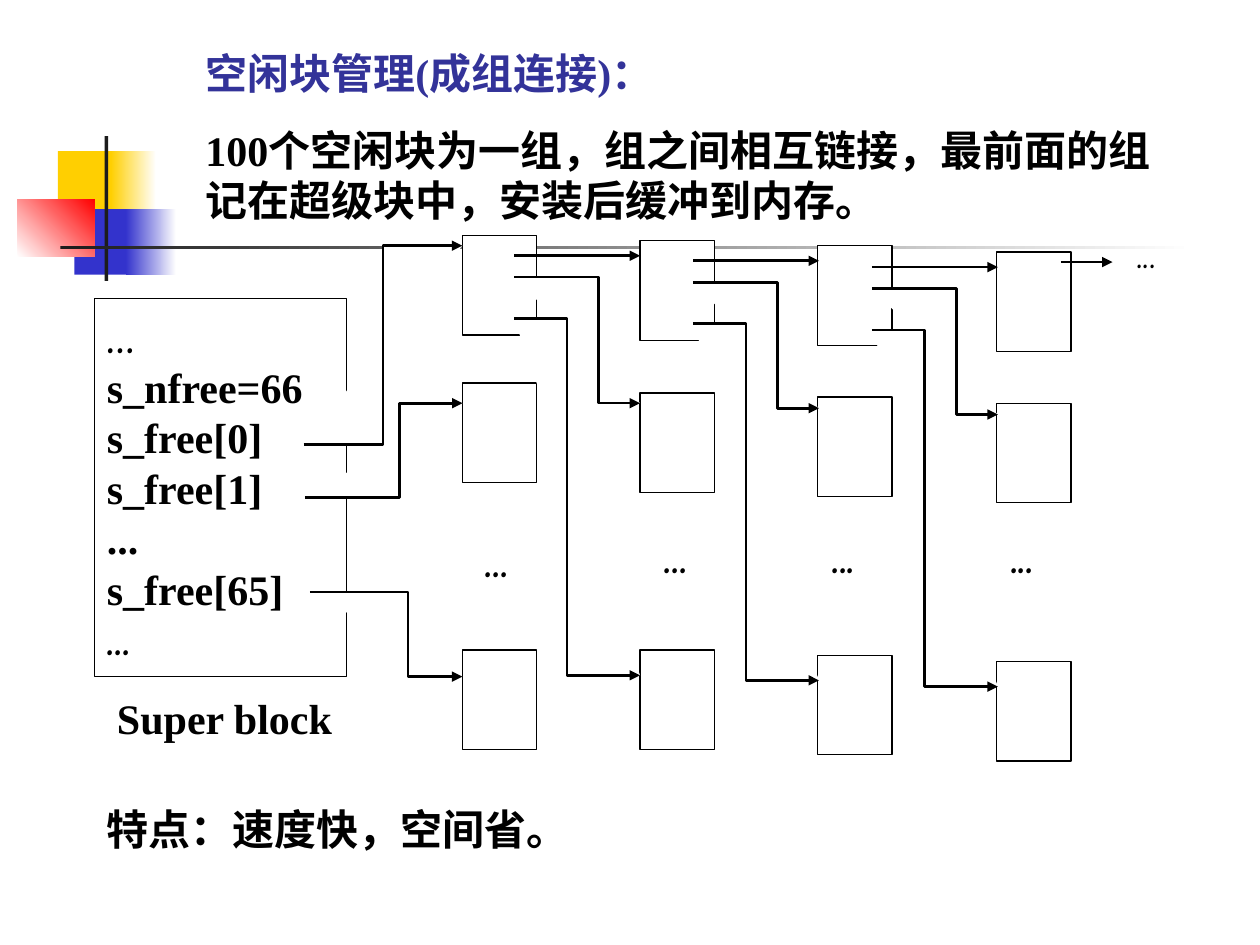
from lxml import etree
from pptx import Presentation
from pptx.dml.color import RGBColor
from pptx.enum.shapes import MSO_CONNECTOR, MSO_SHAPE
from pptx.enum.text import MSO_ANCHOR, MSO_AUTO_SIZE, PP_ALIGN
from pptx.oxml.ns import qn
from pptx.util import Pt

PX = 9144  # EMU per px, 100 px to the inch
RECTANGLE = MSO_SHAPE.RECTANGLE
STRAIGHT = MSO_CONNECTOR.STRAIGHT
LEFT = PP_ALIGN.LEFT
TOP, MIDDLE = MSO_ANCHOR.TOP, MSO_ANCHOR.MIDDLE

WHITE = RGBColor(0xFF, 0xFF, 0xFF)
BLACK = RGBColor(0x00, 0x00, 0x00)
YELLOW = RGBColor(0xFF, 0xCF, 0x01)
BLUE = RGBColor(0x33, 0x33, 0xCC)
RED = RGBColor(0xFF, 0x00, 0x00)
CHARCOAL = RGBColor(0x1C, 0x1C, 0x1C)
HEADING = RGBColor(0x33, 0x33, 0x99)

SERIF, COMIC = "Times New Roman", "Comic Neue"

BLOCK_WIDTH, BLOCK_HEIGHT = 59, 79
# Left edge and block tops of each group
GROUPS = [
    (367, (187, 304, 516)),
    (508, (191, 312, 516)),
    (649, (195, 315, 520)),
    (791, (200, 320, 525)),
]
# Start, bend and end of the links from the super block
SUPER_LINKS = [
    (241, 353, 304, 367, 195),
    (242, 395, 317, 367, 320),
    (246, 470, 324, 367, 537),
]
# Start of the links from each group to the next
GROUP_LINKS = [(408, 203), (550, 207), (692, 212)]


def scaled(*lengths):
    return [length * PX for length in lengths]


def add_rectangle(page, bounds, color, fade_to=None, angle=0, outline=None):
    box = page.shapes.add_shape(RECTANGLE, *scaled(*bounds))
    box.shadow.inherit = False
    if fade_to is None:
        box.fill.solid()
        box.fill.fore_color.rgb = color
    else:
        box.fill.gradient()
        box.fill.gradient_angle = angle
        for stop, stop_color in zip(box.fill.gradient_stops, (color, fade_to)):
            stop.color.rgb = stop_color
    if outline is None:
        box.line.fill.background()
    else:
        box.line.color.rgb = outline
        box.line.width = Pt(0.75)
    return box


def write_text(box, lines, wrap=True, anchor=TOP, gap=0, bold=True):
    """Fill a box with (text, font, colour) lines."""
    frame = box.text_frame
    frame.word_wrap = wrap
    frame.auto_size = MSO_AUTO_SIZE.NONE
    frame.vertical_anchor = anchor
    frame.margin_left = frame.margin_right = 10 * PX
    frame.margin_top = frame.margin_bottom = 5 * PX
    for index, (text, font, color) in enumerate(lines):
        para = frame.add_paragraph() if index else frame.paragraphs[0]
        para.text = text
        para.alignment = LEFT
        para.space_before = Pt(gap if index else 0)
        para.font.name = font
        para.font.size = Pt(24)
        para.font.bold = bold
        para.font.color.rgb = color


def add_label(page, bounds, text, font=SERIF, filled=True, bold=True):
    box = page.shapes.add_textbox(*scaled(*bounds))
    if filled:
        box.fill.solid()
        box.fill.fore_color.rgb = WHITE
    write_text(box, [(text, font, BLACK)], bold=bold)


def add_dots(page, left, top, **style):
    add_label(page, (left, top, 58, 50), "...", COMIC, **style)


def style_arrow(shape):
    shape.line.color.rgb = BLACK
    shape.line.width = Pt(1.5)
    outline = shape.element.spPr.find(qn("a:ln"))
    etree.SubElement(outline, qn("a:tailEnd"), type="triangle")


def add_arrow(page, left, right, y):
    arrow = page.shapes.add_connector(STRAIGHT, *scaled(left, y, right, y))
    style_arrow(arrow)
    etree.SubElement(arrow.element.spPr, qn("a:effectLst"))


def add_elbow(page, left, top, bend, right, bottom):
    builder = page.shapes.build_freeform(left, top, scale=PX)
    builder.add_line_segments(
        [(bend, top), (bend, bottom), (right, bottom)], close=False)
    elbow = builder.convert_to_shape()
    elbow.shadow.inherit = False
    elbow.fill.solid()
    elbow.fill.fore_color.rgb = WHITE
    style_arrow(elbow)


def add_decoration(page):
    add_rectangle(page, (46, 120, 48, 52), YELLOW)
    add_rectangle(page, (88, 120, 36, 52), YELLOW, WHITE)
    add_rectangle(page, (59, 166, 46, 52), BLUE)
    add_rectangle(page, (100, 166, 40, 52), BLUE, WHITE)
    add_rectangle(page, (14, 158, 61, 46), WHITE, RED, angle=45)
    add_rectangle(page, (83, 108, 3, 115), CHARCOAL)
    add_rectangle(page, (48, 195, 900, 3), CHARCOAL, WHITE)


def add_heading(page):
    title = page.shapes.title
    title.left, title.top, title.width, title.height = scaled(153, 33, 780, 212)
    write_text(title, [
        ("空闲块管理(成组连接)：", SERIF, HEADING),
        ("100个空闲块为一组，组之间相互链接，最前面的组记在超级块中，安装后缓冲到内存。",
         SERIF, BLACK),
    ], gap=15)


def add_super_block(page):
    box = add_rectangle(page, (75, 237, 200, 300), WHITE, outline=BLACK)
    fields = ["s_nfree=66", "s_free[0]", "s_free[1]", "...", "s_free[65]"]
    lines = [("…", COMIC, BLACK)]
    lines += [(field, SERIF, BLACK) for field in fields]
    lines += [("...", COMIC, BLACK)]
    write_text(box, lines, wrap=False, anchor=MIDDLE)
    add_label(page, (83, 545, 192, 50), "Super block")


def add_group(page, left, tops):
    for top in tops:
        add_rectangle(page, (left, top, BLOCK_WIDTH, BLOCK_HEIGHT), WHITE,
                      outline=BLACK)


def main():
    deck = Presentation()
    deck.slide_width, deck.slide_height = scaled(1000, 750)
    page = deck.slides.add_slide(deck.slide_layouts[5])
    add_decoration(page)
    add_heading(page)

    # Super block and the first group
    add_super_block(page)
    add_group(page, *GROUPS[0])
    add_dots(page, 375, 420)
    for link in SUPER_LINKS:
        add_elbow(page, *link)

    # Each further group, linked from the one before
    for group, (left, top) in zip(GROUPS[1:], GROUP_LINKS):
        add_group(page, *group)
        add_arrow(page, left, left + 100, top)
        add_elbow(page, left, top + 17, left + 67, left + 100, top + 117)
        add_elbow(page, left, top + 50, left + 42, left + 100, top + 333)

    # Continuation marks
    add_arrow(page, 842, 883, 208)
    add_dots(page, 892, 175, filled=False, bold=False)
    for left in (792, 650, 517):
        add_dots(page, left, 417)

    add_label(page, (75, 633, 783, 50), "特点：速度快，空间省。")
    deck.save("out.pptx")


if __name__ == "__main__":
    main()
